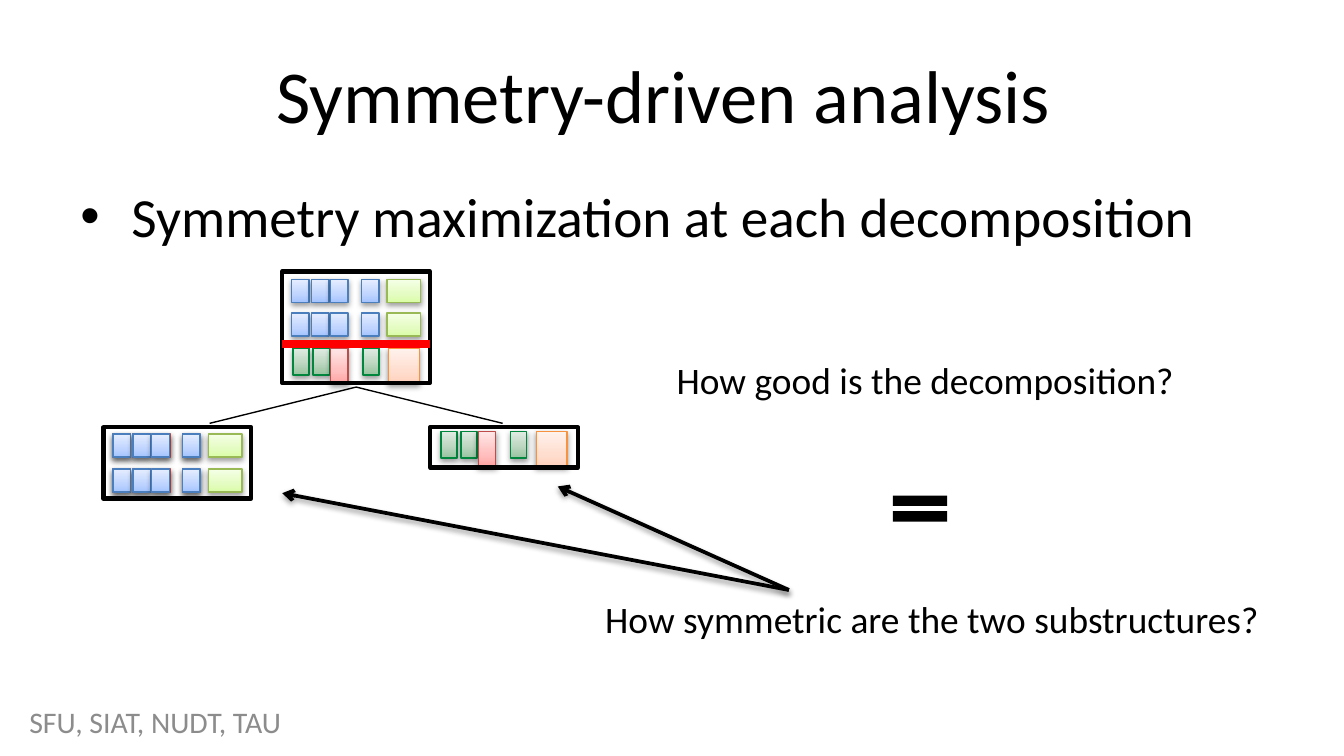
import pptx
import pptx.util
import pptx.dml.color
import pptx.enum.shapes
import pptx.enum.text
import pptx.oxml.ns
from lxml import etree

Inches, Pt = pptx.util.Inches, pptx.util.Pt
RGBColor = pptx.dml.color.RGBColor
SHAPE = pptx.enum.shapes.MSO_SHAPE
ALIGN = pptx.enum.text.PP_ALIGN
ANCHOR = pptx.enum.text.MSO_ANCHOR
FIT = pptx.enum.text.MSO_AUTO_SIZE.SHAPE_TO_FIT_TEXT
qn = pptx.oxml.ns.qn

BLACK = RGBColor(0x00, 0x00, 0x00)
GREY = RGBColor(0x8C, 0x8C, 0x8C)
RED = RGBColor(0xFF, 0x00, 0x00)

# Tile styles: outline, then gradient stops from bottom to top
TILES = {
    "blue": (RGBColor(0x4B, 0x7E, 0xBC), [(0, "A4C4FF"), (35, "BFD4FF"), (100, "E6EEFF")]),
    "lime": (RGBColor(0x98, 0xB9, 0x55), [(0, "DAFDA7"), (35, "E4FCC2"), (100, "F5FFE7")]),
    "rose": (RGBColor(0xBF, 0x4C, 0x48), [(0, "FFA6A5"), (35, "FFC0BF"), (100, "FFE7E7")]),
    "orange": (RGBColor(0xF6, 0x92, 0x40), [(0, "FFD2BD"), (35, "FFDED0"), (100, "FFF2ED")]),
    "green": (RGBColor(0x00, 0x86, 0x3D), [(0, "97C39F"), (50, "C1D9C5"), (100, "E1ECE3")]),
}

# Rows of tiles: style, x offset in the box, width, height
NARROW = [0.07, 0.22, 0.36, 0.59]
WINDOW_ROW = [("lime", 0.78, 0.25, 0.17)] + [("blue", x, 0.13, 0.17) for x in NARROW]
BACKED_ROW = [("rose", x, 0.13, 0.17) for x in (0.07, 0.22, 0.37, 0.59)] + WINDOW_ROW
DOOR_ROW = ([("orange", 0.79, 0.23, 0.26)]
            + [("green", x, 0.12, 0.2) for x in (0.08, 0.23, 0.6)]
            + [("rose", 0.36, 0.13, 0.26)])

# Facade boxes: left, top, height, rows as (y offset, tiles)
BOX_W = 1.1
FACADES = [
    (0.77, 3.18, 0.53, [(0.05, BACKED_ROW), (0.31, BACKED_ROW)]),
    (3.2, 3.18, 0.3, [(0.03, DOOR_ROW)]),
    (2.1, 2.02, 0.83, [(0.57, DOOR_ROW), (0.06, WINDOW_ROW), (0.31, WINDOW_ROW)]),
]

# Lines: start, end, colour, width, is an arrow
LINES = [
    ((2.65, 2.88), (1.56, 3.15), BLACK, 0.75, False),
    ((2.65, 2.88), (3.74, 3.15), BLACK, 0.75, False),
    ((2.1, 2.56), (3.2, 2.56), RED, 4.5, False),
    ((5.87, 4.39), (4.15, 3.62), BLACK, 2, True),
    ((5.87, 4.39), (2.1, 3.67), BLACK, 2, True),
]

LABEL = {"word_wrap": False, "auto_size": FIT}
MIDDLE = {"word_wrap": True, "vertical_anchor": ANCHOR.MIDDLE}

# Texts: words, position, size, colour, alignment, frame format, has bullet
TEXTS = [
    ("Symmetry-driven analysis ", (0.5, 0.23, 9, 0.94), 40, BLACK, ALIGN.CENTER, MIDDLE, False),
    ("Symmetry maximization at each decomposition", (0.5, 1.31, 9, 0.56), 29.6, BLACK,
     ALIGN.LEFT, {"word_wrap": True}, True),
    ("How symmetric are the two substructures?", (4.38, 4.39, 5.11, 0.44), 20, BLACK,
     ALIGN.CENTER, LABEL, False),
    ("How good is the decomposition?", (4.92, 2.61, 3.93, 0.44), 20, BLACK,
     ALIGN.CENTER, LABEL, False),
    ("SFU, SIAT, NUDT, TAU", (0.12, 5.22, 2.36, 0.3), 16, GREY, ALIGN.LEFT, MIDDLE, False),
]


def child(parent, tag, **attrs):
    return etree.SubElement(parent, qn(tag), {k: str(v) for k, v in attrs.items()})


def add_shadow(effects):
    shadow = child(effects, "a:outerShdw", blurRad=Pt(3.1), dist=Pt(1.6),
                   dir=90 * 60000, rotWithShape=0)
    child(child(shadow, "a:srgbClr", val="000000"), "a:alpha", val=38000)


def add_rect(shapes, at, line, width):
    sp = shapes.add_shape(SHAPE.RECTANGLE, *map(Inches, at))
    sp.shadow.inherit = False
    sp.fill.background()
    sp.line.color.rgb = line
    sp.line.width = Pt(width)
    return sp


def add_tile(shapes, style, at):
    line, stops = TILES[style]
    sp = add_rect(shapes, at, line, 0.75)
    sp.fill.gradient()
    sp.fill.gradient_angle = 90
    props = sp.element.spPr
    stop_list = props.find(".//" + qn("a:gsLst"))
    for old in list(stop_list):
        stop_list.remove(old)
    for position, colour in stops:
        child(child(stop_list, "a:gs", pos=position * 1000), "a:srgbClr", val=colour)
    add_shadow(props.find(qn("a:effectLst")))


def add_line(shapes, start, end, colour, width, arrow):
    cn = shapes.add_connector(pptx.enum.shapes.MSO_CONNECTOR.STRAIGHT,
                              *map(Inches, start + end))
    cn.line.color.rgb = colour
    cn.line.width = Pt(width)
    props = cn.element.spPr
    effects = child(props, "a:effectLst")
    if arrow:
        child(props.find(qn("a:ln")), "a:tailEnd", type="arrow")
        add_shadow(effects)


def add_text(shapes, words, at, size, colour, align, frame, bullet):
    tf = shapes.add_textbox(*map(Inches, at)).text_frame
    for name, value in frame.items():
        setattr(tf, name, value)
    p = tf.paragraphs[0]
    p.alignment = align
    if bullet:
        props = p._p.get_or_add_pPr()
        props.set("marL", str(Inches(0.38)))
        props.set("indent", str(-Inches(0.38)))
        child(props, "a:buFont", typeface="Arial")
        child(props, "a:buChar", char="•")
    r = p.add_run()
    r.text = words
    r.font.color.rgb = colour
    for name, value in {"name": "Calibri", "size": Pt(size)}.items():
        setattr(r.font, name, value)


def main():
    prs = pptx.Presentation()
    prs.slide_width = Inches(10)
    prs.slide_height = prs.slide_width * 9 // 16
    shapes = prs.slides.add_slide(prs.slide_layouts[6]).shapes

    for text in TEXTS:
        add_text(shapes, *text)
    for left, top, height, rows in FACADES:
        for dy, tiles in rows:
            for style, dx, w, h in tiles:
                add_tile(shapes, style, (left + dx, top + dy, w, h))
        add_rect(shapes, (left, top, BOX_W, height), BLACK, 2.25)
    for line in LINES:
        add_line(shapes, *line)

    equals = shapes.add_shape(SHAPE.MATH_EQUAL, *map(Inches, (6.57, 3.62, 0.55, 0.33)))
    equals.shadow.inherit = False
    equals.fill.solid()
    equals.fill.fore_color.rgb = BLACK
    equals.line.fill.background()
    prs.save("out.pptx")


if __name__ == "__main__":
    main()
